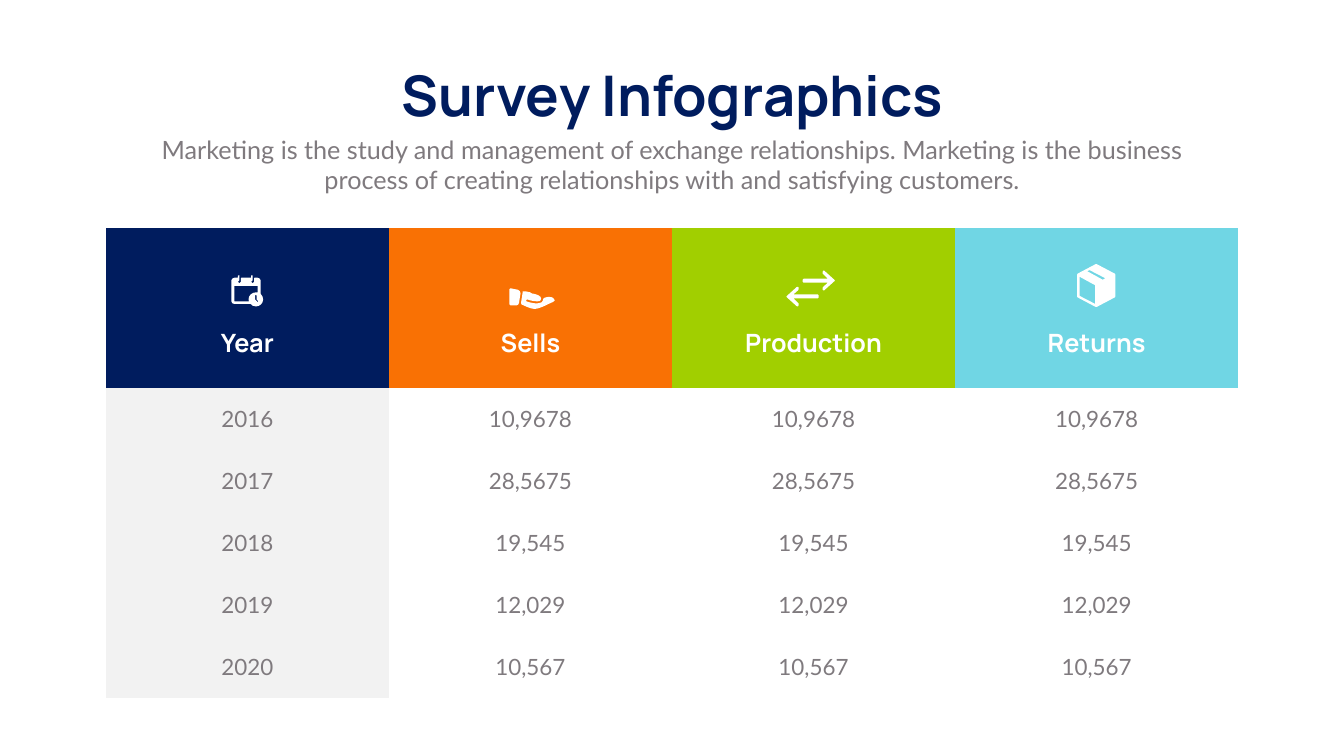
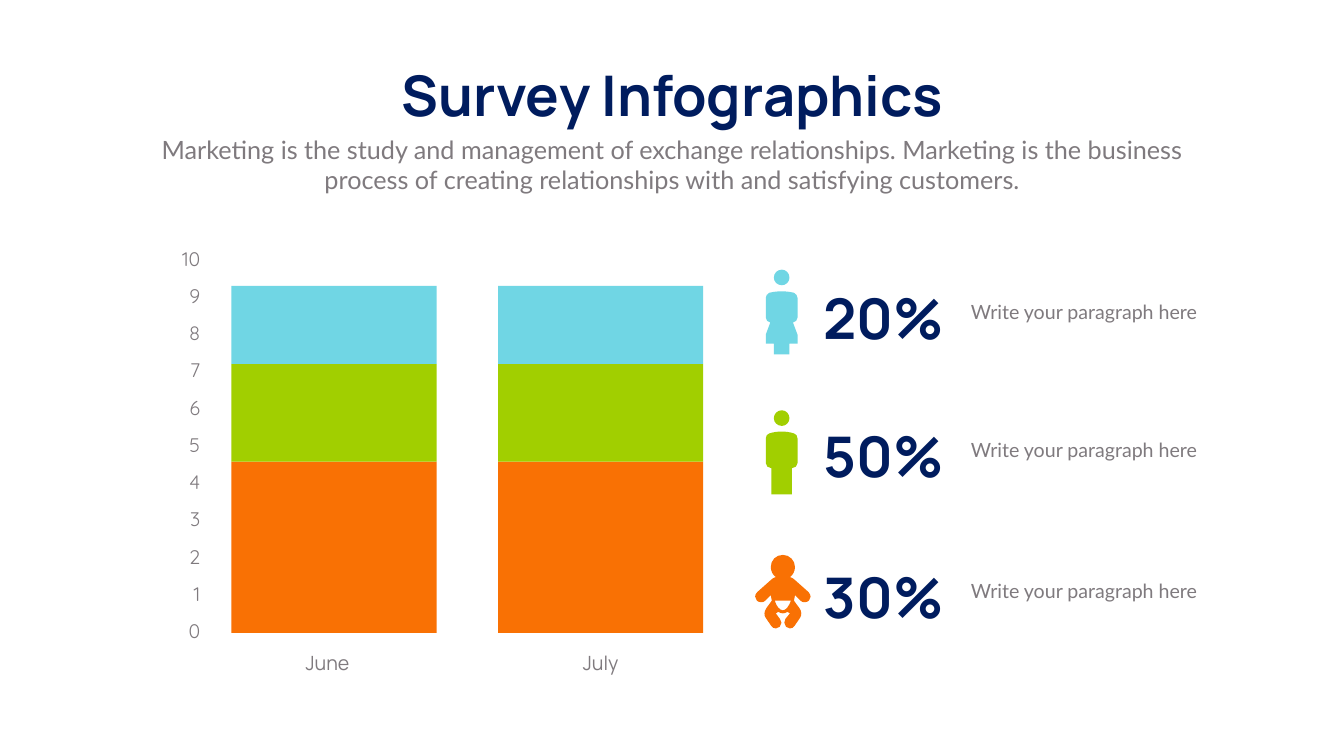
from lxml import etree
from pptx import Presentation
from pptx.dml.color import RGBColor
from pptx.enum.shapes import MSO_SHAPE
from pptx.enum.text import MSO_ANCHOR, MSO_AUTO_SIZE, PP_ALIGN
from pptx.oxml.ns import qn
from pptx.util import Emu, Pt

LEFT, CENTER, RIGHT = PP_ALIGN.LEFT, PP_ALIGN.CENTER, PP_ALIGN.RIGHT
MIDDLE = MSO_ANCHOR.MIDDLE
GROW = MSO_AUTO_SIZE.SHAPE_TO_FIT_TEXT
RECT = MSO_SHAPE.RECTANGLE

# Shared look; 100 px make one inch
EMU_PER_PX = 9144
NAVY, ORANGE, GREEN, CYAN = "001C5E", "F97104", "A1CF00", "70D6E4"
GRAY, PALE, WHITE = "7F7A7E", "F2F2F2", "FFFFFF"
HEADING, BODY, DIGITS = "Manrope", "Lato", "Quicksand"
NO_TABLE_STYLE = "{2D5ABB26-0587-4C30-8999-92F81FD0307C}"

TITLE = "Survey Infographics"
INTRO = ("Marketing is the study and management of exchange relationships. "
         "Marketing is the business process of creating relationships with "
         "and satisfying customers.")

# Icon outlines in px: pairs are corners, sixes are Bezier curves
CALENDAR = [
    [(58, 37), (58, 10), (58, 8, 55, 5, 52, 5), (46, 5), (45, 6), (45, 13),
     (45, 14, 43, 16, 42, 16), (41, 16, 39, 14, 39, 13), (39, 12, 40, 11, 41, 11),
     (42, 10), (42, 1), (41, 0), (39, 1), (39, 5), (20, 5), (19, 6), (19, 13),
     (19, 14, 17, 16, 16, 16), (15, 16, 13, 14, 13, 13), (13, 12, 14, 11, 15, 11),
     (16, 10), (16, 1), (15, 0), (13, 1), (13, 5), (6, 5), (3, 5, 0, 8, 0, 10),
     (0, 52), (0, 55, 3, 57, 6, 57), (38, 57), (40, 60, 44, 62, 49, 62),
     (56, 62, 63, 56, 63, 48), (63, 44, 61, 40, 58, 37)],
    [(34, 48), (34, 49, 34, 51, 35, 52), (6, 52), (6, 21), (52, 21), (52, 34),
     (51, 34, 50, 34, 49, 34), (41, 34, 34, 40, 34, 48)],
    [(53, 53), (52, 53), (48, 49), (47, 48), (47, 40), (49, 39), (50, 40),
     (50, 48), (53, 51)],
]
CUFF = [
    [(17, 3), (2, 0), (0, 2), (0, 32), (2, 34), (14, 34), (16, 34, 19, 32, 19, 29),
     (22, 10), (22, 7, 20, 4, 17, 3)],
]
PALM = [
    [(78, 17), (76, 17, 72, 18, 69, 19), (67, 21), (67, 23, 66, 26, 64, 28),
     (61, 29, 59, 30, 55, 30), (50, 30, 43, 29, 34, 26), (33, 24), (35, 22),
     (44, 25, 50, 26, 55, 26), (59, 26, 60, 25, 61, 25), (63, 24, 63, 22, 63, 21),
     (63, 15, 56, 13, 49, 11), (46, 11, 43, 10, 41, 8), (38, 7, 35, 6, 32, 6),
     (26, 6), (26, 10), (23, 29), (24, 32), (32, 36, 44, 41, 50, 41),
     (58, 41, 72, 34, 82, 29), (85, 28, 87, 27, 88, 26), (89, 26, 90, 25, 90, 24),
     (90, 20, 85, 17, 78, 17)],
]
LEFT_ARROW = [
    [(24, 37), (24, 33), (23, 32), (21, 32), (1, 50), (0, 51), (1, 53), (21, 71),
     (23, 71), (24, 69), (24, 65), (14, 55), (62, 55), (64, 53), (64, 49), (62, 47),
     (14, 47), (23, 39)],
]
RIGHT_ARROW = [[(96 - x, 71 - y) for x, y in LEFT_ARROW[0]]]
PARCEL = [
    [(75, 19), (39, 0), (37, 0), (1, 19), (0, 21), (0, 64), (1, 66), (37, 85),
     (39, 85), (75, 66), (76, 64), (76, 21)],
    [(36, 79), (5, 63), (5, 25), (36, 42)],
    [(51, 31), (20, 14), (25, 12), (56, 28)],
]
HEAD = [
    [(16, 31), (24, 31, 31, 24, 31, 16), (31, 7, 24, 0, 16, 0),
     (7, 0, 0, 7, 0, 16), (0, 24, 7, 31, 16, 31)],
]
WOMAN = [
    [(63, 53), (63, 14), (63, 10, 60, 6, 56, 4), (40, 0, 23, 0, 7, 4),
     (3, 6, 0, 10, 0, 14), (0, 53), (0, 58, 4, 62, 9, 63), (0, 87), (0, 105),
     (16, 105), (16, 126), (47, 126), (47, 105), (63, 105), (63, 87), (54, 63),
     (59, 62, 63, 58, 63, 53)],
]
MAN = [
    [(56, 4), (40, -1, 23, -1, 7, 4), (3, 5, 0, 9, 0, 14), (0, 63),
     (0, 68, 5, 73, 11, 73), (11, 125), (52, 125), (52, 73),
     (58, 73, 63, 68, 63, 63), (63, 14), (63, 9, 60, 5, 56, 4)],
]
BABY = [
    [(106, 74), (79, 50), (76, 47, 73, 45, 69, 44), (75, 40, 79, 32, 79, 24),
     (79, 11, 68, 0, 55, 0), (41, 0, 31, 11, 31, 24), (31, 32, 35, 40, 41, 44),
     (37, 45, 34, 47, 31, 50), (4, 74), (1, 77, 0, 80, 0, 83),
     (0, 89, 5, 94, 12, 94), (15, 94, 18, 93, 20, 91), (31, 80),
     (31, 84, 32, 87, 33, 91), (22, 106), (18, 112, 17, 120, 21, 125), (32, 141),
     (34, 144, 37, 146, 41, 146), (47, 146, 52, 141, 52, 135), (52, 134),
     (52, 131, 51, 129, 49, 127), (41, 116), (46, 113), (52, 117, 58, 117, 64, 113),
     (69, 116), (60, 127), (59, 129, 58, 131, 58, 134), (58, 135),
     (58, 141, 63, 146, 69, 146), (73, 146, 76, 144, 78, 141), (89, 125),
     (93, 119, 92, 112, 88, 106), (77, 91), (78, 87, 79, 84, 79, 80), (90, 91),
     (92, 93, 95, 94, 98, 94), (105, 94, 110, 89, 110, 83),
     (110, 80, 108, 77, 106, 74)],
    [(55, 110), (49, 110, 42, 102, 39, 91), (71, 91), (67, 102, 61, 110, 55, 110)],
]

# Table content: heading, colour, icon parts, icon offset in the heading cell
COLUMNS = [
    ("Year", NAVY, [CALENDAR], (249, 93)),
    ("Sells", ORANGE, [CUFF, PALM], (239, 119)),
    ("Production", GREEN, [LEFT_ARROW, RIGHT_ARROW], (227, 84)),
    ("Returns", CYAN, [PARCEL], (242, 71)),
]
YEARS = [("2016", "10,9678"), ("2017", "28,5675"), ("2018", "19,545"),
         ("2019", "12,029"), ("2020", "10,567")]

# Stacked bars: month, bar left, label left; layers from the bottom up
MONTHS = [("June", 164, 270), ("July", 693, 812)]
LAYERS = [(ORANGE, 340), (GREEN, 194), (CYAN, 155)]

# Survey groups: share, row top, colour, icon offset, figure parts with offsets
GROUPS = [
    ("20%", 558, CYAN, (21, -23), [(HEAD, 16, 0), (WOMAN, 0, 42)]),
    ("50%", 831, GREEN, (21, -17), [(HEAD, 16, 0), (MAN, 0, 42)]),
    ("30%", 1111, ORANGE, (0, -10), [(BABY, 0, 0)]),
]


def px(length):
    return Emu(round(length * EMU_PER_PX))


def rgb(color):
    return RGBColor.from_string(color)


def style(paragraph, size, font, color, bold=False, align=CENTER, spacing=None):
    paragraph.alignment = align
    paragraph.line_spacing = spacing
    for run in paragraph.runs:
        run.font.size, run.font.name, run.font.bold = Pt(size), font, bold
        run.font.color.rgb = rgb(color)


def add_text(slide, text, left, top, width, height, wrap=True, **look):
    box = slide.shapes.add_textbox(px(left), px(top), px(width), px(height))
    box.text_frame.text = text
    box.text_frame.word_wrap = wrap
    box.text_frame.auto_size = GROW
    style(box.text_frame.paragraphs[0], **look)


def paint(shape, color):
    shape.shadow.inherit = False
    shape.fill.solid()
    shape.fill.fore_color.rgb = rgb(color)
    shape.line.fill.background()


def corners(contour):
    """List every corner and control point of a contour."""
    return [node[i:i + 2] for node in contour for i in range(0, len(node), 2)]


def add_outline(slide, contours, color, left, top):
    first, *holes = [corners(contour) for contour in contours]
    builder = slide.shapes.build_freeform(*first[0], scale=EMU_PER_PX)
    builder.add_line_segments(first[1:], close=True)
    for hole in holes:
        builder.move_to(*hole[0])
        builder.add_line_segments(hole[1:], close=True)
    shape = builder.convert_to_shape(px(left), px(top))
    paint(shape, color)

    # Join each curve's three line segments into one Bezier segment
    segments = iter(list(shape._element.iter(qn("a:lnTo"))))
    for contour in contours:
        for node in contour[1:]:
            segment = next(segments)
            if len(node) == 6:
                curve = etree.Element(qn("a:cubicBezTo"))
                segment.addprevious(curve)
                for part in (segment, next(segments), next(segments)):
                    curve.append(part[0])
                    part.getparent().remove(part)


def add_heading(slide):
    add_text(slide, TITLE, 743, 116, 1183, 145, wrap=False,
             size=80, font=HEADING, color=NAVY, bold=True)
    add_text(slide, INTRO, 292, 261, 2082, 131, size=36, font=BODY, color=GRAY)


def fill_cell(cell, text, fill, **look):
    cell.text = text
    cell.vertical_anchor = MIDDLE
    if fill:
        cell.fill.solid()
        cell.fill.fore_color.rgb = rgb(fill)
    else:
        cell.fill.background()
    style(cell.text_frame.paragraphs[0], **look)


def add_survey_table(slide, left, top, width=2246, head_height=316, row_height=123):
    column_width = width / len(COLUMNS)
    frame = slide.shapes.add_table(
        len(YEARS) + 1, len(COLUMNS), px(left), px(top),
        px(width), px(head_height + row_height * len(YEARS)))
    table = frame.table
    table.horz_banding = False
    table._tbl.tblPr.find(qn("a:tableStyleId")).text = NO_TABLE_STYLE
    for row in table.rows:
        row.height = px(row_height)
    table.rows[0].height = px(head_height)

    for index, (heading, color, icon, (dx, dy)) in enumerate(COLUMNS):
        table.columns[index].width = px(column_width)
        fill_cell(table.cell(0, index), heading, color, size=36, font=HEADING,
                  color=WHITE, bold=True, spacing=3.0)
        for number, (year, amount) in enumerate(YEARS, 1):
            text, fill = (amount, None) if index else (year, PALE)
            fill_cell(table.cell(number, index), text, fill,
                      size=32, font=BODY, color=GRAY)
        for part in icon:
            add_outline(slide, part, WHITE, left + index * column_width + dx, top + dy)


def add_stacked_bars(slide, left, top, baseline=774, bar_width=407, scale_height=739):
    # Scale
    for value in range(11):
        add_text(slide, str(value), left, top + scale_height * (10 - value) // 10, 112, 63,
                 size=28, font=DIGITS, color=GRAY, align=RIGHT, spacing=Pt(35.6))
    # Bars and months
    for month, bar_left, label_left in MONTHS:
        layer_top = top + baseline
        for color, height in LAYERS:
            layer_top -= height
            layer = slide.shapes.add_shape(RECT, px(left + bar_left), px(layer_top),
                                           px(bar_width), px(height))
            paint(layer, color)
        add_text(slide, month, left + label_left, top + 801, 169, 61,
                 size=28, font=HEADING, color=GRAY, spacing=Pt(35.6))


def add_group_row(slide, left, top, share, color, offset, figure):
    for part, dx, dy in figure:
        add_outline(slide, part, color, left + offset[0] + dx, top + offset[1] + dy)
    add_text(slide, share, left + 123, top, 264, 145, wrap=False,
             size=80, font=HEADING, color=NAVY, bold=True)
    add_text(slide, "Write your paragraph here", left + 418, top + 33, 476, 57,
             size=28, font=BODY, color=GRAY, align=LEFT)


def new_slide(deck):
    slide = deck.slides.add_slide(deck.slide_layouts[6])
    add_heading(slide)
    return slide


def main():
    deck = Presentation()
    deck.slide_width, deck.slide_height = px(2666), px(1500)

    add_survey_table(new_slide(deck), 210, 453)

    chart_slide = new_slide(deck)
    for share, top, color, offset, figure in GROUPS:
        add_group_row(chart_slide, 1498, top, share, color, offset, figure)
    add_stacked_bars(chart_slide, 295, 482)

    deck.save("out.pptx")


if __name__ == "__main__":
    main()
